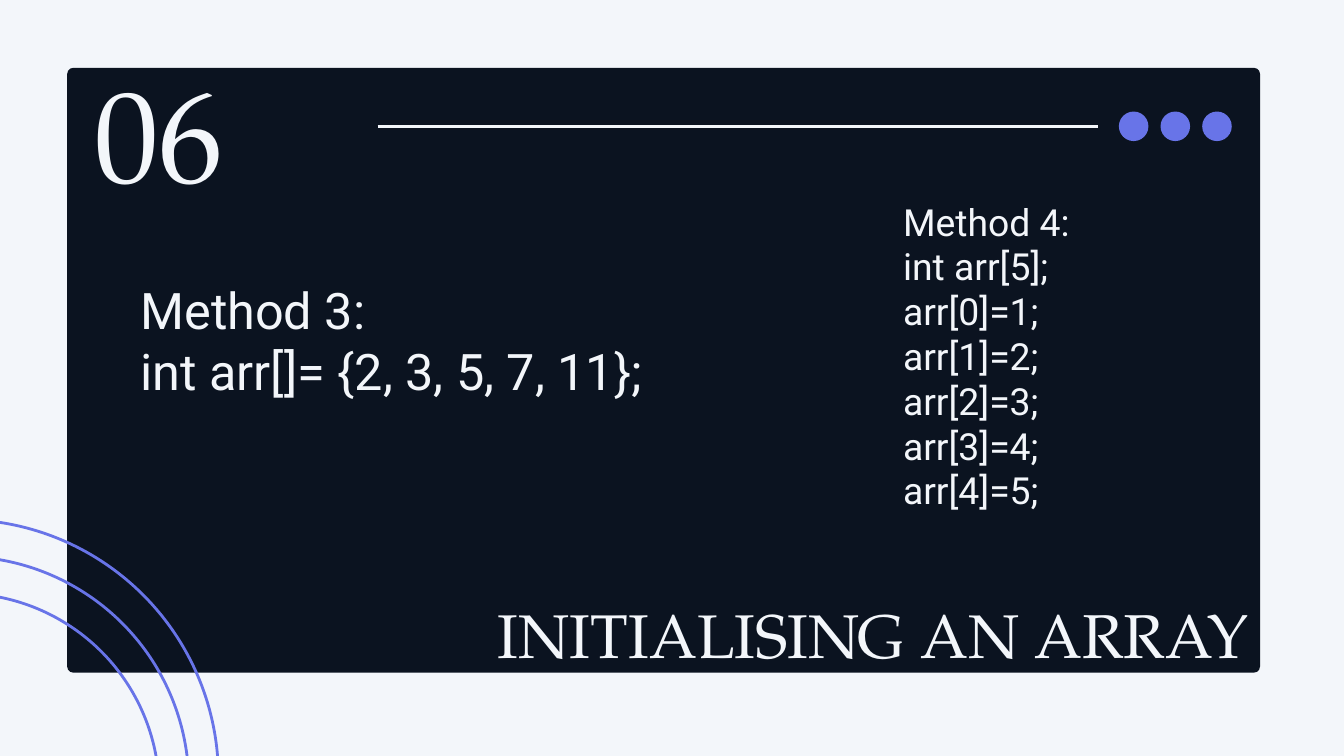
"""Build the "Initialising an array" slide on a 20-column grid of one-inch cells."""
from lxml import etree
from pptx import Presentation, util as u
from pptx.dml.color import RGBColor
from pptx.enum import shapes as sh, text as tx
from pptx.oxml.ns import qn

COLORS = {"paper": "F3F6FA", "ink": "0B1320", "accent": "6874E8"}
COLUMNS, ROWS = 20, 11.25
SERIF, SANS = "TeX Gyre Pagella", "Roboto"
LEFT, CENTER, RIGHT = tx.PP_ALIGN.LEFT, tx.PP_ALIGN.CENTER, tx.PP_ALIGN.RIGHT

PANEL = (1, 1.01, 17.75, 9)
PANEL_ROUNDING = 0.01
ARCHES = {"count": 3, "center": -0.58, "top": 7.73, "bottom": 17.15,
          "radius": 3.83, "drop": 0.55, "rise": 0.55, "shrink": 0.44}
RULE = {"start": 5.62, "end": 16.34, "row": 1.88}
DOTS = {"count": 3, "start": 16.65, "pitch": 0.62, "size": 0.44}
STROKE = 3

TEXTS = [
    {"lines": ["06"], "box": (1.07, -0.14, 2.59, 3.26), "font": SERIF,
     "size": 138.6, "align": CENTER, "spacing": 1.4, "inset": (0, 0)},
    {"lines": ["Method 3:", "int arr[]= {2, 3, 5, 7, 11};"],
     "box": (1.99, 4.11, 8.02, 1.92), "font": SANS,
     "size": 54, "align": LEFT, "spacing": 1, "inset": (0.1, 0.05)},
    {"lines": ["Method 4:", "int arr[5];"] + [f"arr[{i}]={i + 1};" for i in range(5)],
     "box": (13.34, 2.91, 5.41, 4.82), "font": SANS,
     "size": 40, "align": LEFT, "spacing": 1, "inset": (0.1, 0.05)},
    {"lines": ["INITIALISING AN ARRAY"], "box": (5.88, 8.67, 12.7, 1.33), "font": SERIF,
     "size": 66, "align": RIGHT, "spacing": 1.2, "inset": (0, 0)},
]


def color(name):
    return RGBColor.from_string(COLORS[name])


def cells(*lengths):
    return [u.Inches(length) for length in lengths]


def add_figure(slide, kind, box, fill=None, line=None):
    figure = slide.shapes.add_shape(kind, *cells(*box))
    figure.shadow.inherit = False
    if fill:
        figure.fill.solid()
        figure.fill.fore_color.rgb = color(fill)
    else:
        figure.fill.background()
    if line:
        figure.line.color.rgb = color(line)
        figure.line.width = u.Pt(STROKE)
    else:
        figure.line.fill.background()
    return figure


def add_arches(slide):
    for i in range(ARCHES["count"]):
        radius = ARCHES["radius"] - i * ARCHES["shrink"]
        top = ARCHES["top"] + i * ARCHES["drop"]
        bottom = ARCHES["bottom"] - i * ARCHES["rise"]
        box = (ARCHES["center"] - radius, top, 2 * radius, bottom - top)
        arch = add_figure(slide, sh.MSO_SHAPE.ROUND_2_SAME_RECTANGLE, box, line="accent")
        arch.adjustments[0], arch.adjustments[1] = 0.5, 0


def add_rule(slide):
    rule = slide.shapes.add_connector(
        sh.MSO_CONNECTOR.STRAIGHT,
        *cells(RULE["start"], RULE["row"], RULE["end"], RULE["row"]))
    rule.line.color.rgb = color("paper")
    rule.line.width = u.Pt(STROKE)
    etree.SubElement(rule.element.spPr, qn("a:effectLst"))


def add_dots(slide):
    size = DOTS["size"]
    for i in range(DOTS["count"]):
        box = (DOTS["start"] + i * DOTS["pitch"], RULE["row"] - size / 2, size, size)
        add_figure(slide, sh.MSO_SHAPE.OVAL, box, fill="accent")


def add_words(slide, words):
    frame = slide.shapes.add_textbox(*cells(*words["box"])).text_frame
    frame.word_wrap = True
    side, edge = cells(*words["inset"])
    frame.margin_left = frame.margin_right = side
    frame.margin_top = frame.margin_bottom = edge
    for i, line in enumerate(words["lines"]):
        paragraph = frame.add_paragraph() if i else frame.paragraphs[0]
        paragraph.alignment = words["align"]
        paragraph.line_spacing = words["spacing"]
        run = paragraph.add_run()
        run.text = line
        run.font.name = words["font"]
        run.font.size = u.Pt(words["size"])
        run.font.color.rgb = color("paper")


def main():
    deck = Presentation()
    deck.slide_width, deck.slide_height = cells(COLUMNS, ROWS)
    slide = deck.slides.add_slide(deck.slide_layouts[6])
    slide.background.fill.solid()
    slide.background.fill.fore_color.rgb = color("paper")
    panel = add_figure(slide, sh.MSO_SHAPE.ROUNDED_RECTANGLE, PANEL, fill="ink")
    panel.adjustments[0] = PANEL_ROUNDING
    add_arches(slide)
    add_rule(slide)
    add_dots(slide)
    for words in TEXTS:
        add_words(slide, words)
    deck.save("out.pptx")


if __name__ == "__main__":
    main()
